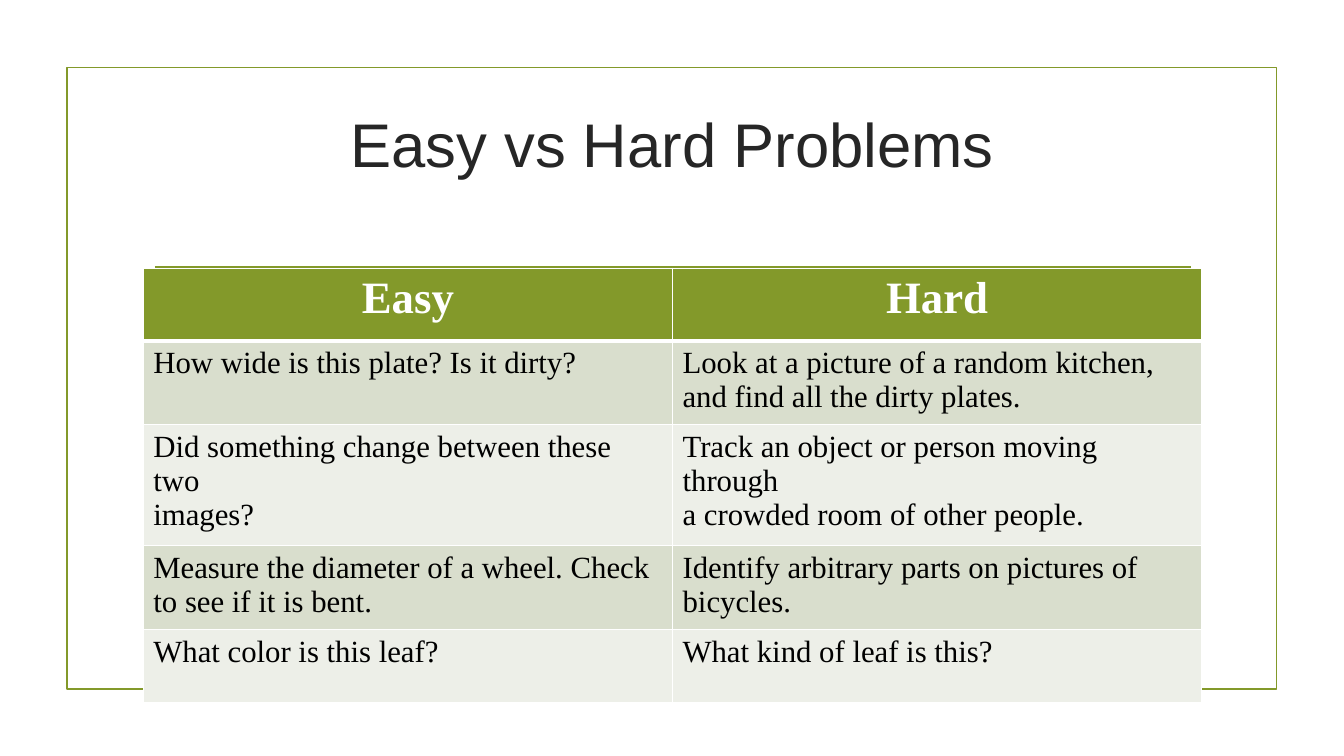
from lxml import etree
from pptx import Presentation
from pptx.dml.color import RGBColor
from pptx.enum.shapes import MSO_CONNECTOR, MSO_SHAPE
from pptx.enum.text import MSO_ANCHOR, PP_ALIGN
from pptx.oxml.ns import qn
from pptx.util import Pt

GREEN = RGBColor(0x83, 0x99, 0x2A)
BAND_DARK = RGBColor(0xD9, 0xDE, 0xCD)
BAND_LIGHT = RGBColor(0xED, 0xEF, 0xE8)
INK = RGBColor(0x26, 0x26, 0x26)
BLACK = RGBColor(0, 0, 0)
WHITE = RGBColor(0xFF, 0xFF, 0xFF)

# Each string in a cell is one paragraph
PROBLEMS = [
    (["Easy"], ["Hard"]),
    (["How wide is this plate? Is it dirty?"],
     ["Look at a picture of a random kitchen,",
      "and find all the dirty plates."]),
    (["Did something change between these two", "images?"],
     ["Track an object or person moving through",
      "a crowded room of other people."]),
    (["Measure the diameter of a wheel. Check", "to see if it is bent."],
     ["Identify arbitrary parts on pictures of", "bicycles."]),
    (["What color is this leaf?"], ["What kind of leaf is this?"]),
]


def add_frame(s, x, y, w, h):
    # Green outline
    sp = s.shapes.add_shape(MSO_SHAPE.RECTANGLE, Pt(x), Pt(y), Pt(w), Pt(h))
    sp.shadow.inherit = False
    sp.fill.background()
    sp.line.color.rgb = GREEN
    sp.line.width = Pt(1.25)

    # Rule above the table
    inset, drop = 62.8, 142.6
    rule = s.shapes.add_connector(MSO_CONNECTOR.STRAIGHT, Pt(x + inset), Pt(y + drop),
                                  Pt(x + w - inset + 1.4), Pt(y + drop))
    rule.line.color.rgb = GREEN
    rule.line.width = Pt(1.25)
    etree.SubElement(rule._element.spPr, qn("a:effectLst"))


def add_title(s, x, y, w, h, text):
    tf = s.shapes.add_textbox(Pt(x), Pt(y), Pt(w), Pt(h)).text_frame
    tf.word_wrap = True
    tf.vertical_anchor = MSO_ANCHOR.MIDDLE
    p = tf.paragraphs[0]
    p.text = text
    p.alignment = PP_ALIGN.CENTER
    p.font.name = "Arial"
    p.font.size = Pt(44)
    p.font.color.rgb = INK


def set_borders(cell, top, bottom):
    tc_pr = cell._tc.get_or_add_tcPr()
    widths = {"lnL": 1, "lnR": 1, "lnT": top, "lnB": bottom}
    for i, (tag, width) in enumerate(widths.items()):
        ln = etree.Element(qn(f"a:{tag}"), w=str(Pt(width)))
        fill = etree.SubElement(ln, qn("a:solidFill"))
        etree.SubElement(fill, qn("a:srgbClr"), val=str(WHITE))
        tc_pr.insert(i, ln)


def fill_cell(cell, lines, row):
    header = row == 0
    cell.fill.solid()
    cell.fill.fore_color.rgb = GREEN if header else BAND_DARK if row % 2 else BAND_LIGHT
    set_borders(cell, top=3 if row == 1 else 1, bottom=3 if header else 1)
    cell.text = "\n".join(lines)
    for p in cell.text_frame.paragraphs:
        p.alignment = PP_ALIGN.CENTER if header else PP_ALIGN.LEFT
        p.font.name = "Times New Roman"
        p.font.size = Pt(32 if header else 22)
        p.font.bold = header
        p.font.color.rgb = WHITE if header else BLACK


def add_problem_table(s, x, y, w, row_h, rows):
    table = s.shapes.add_table(len(rows), len(rows[0]), Pt(x), Pt(y),
                               Pt(w), Pt(row_h * len(rows))).table
    for i, row in enumerate(rows):
        table.rows[i].height = Pt(row_h)
        for j, lines in enumerate(row):
            fill_cell(table.cell(i, j), lines, i)


def main():
    prs = Presentation()
    prs.slide_width, prs.slide_height = Pt(960), Pt(540)
    s = prs.slides.add_slide(prs.slide_layouts[6])
    add_frame(s, 47.8, 48.2, 864, 444)
    add_title(s, 102.4, 50.4, 756, 103, "Easy vs Hard Problems")
    add_problem_table(s, 102.4, 191.6, 756, 51.8, PROBLEMS)
    prs.save("out.pptx")


if __name__ == "__main__":
    main()
